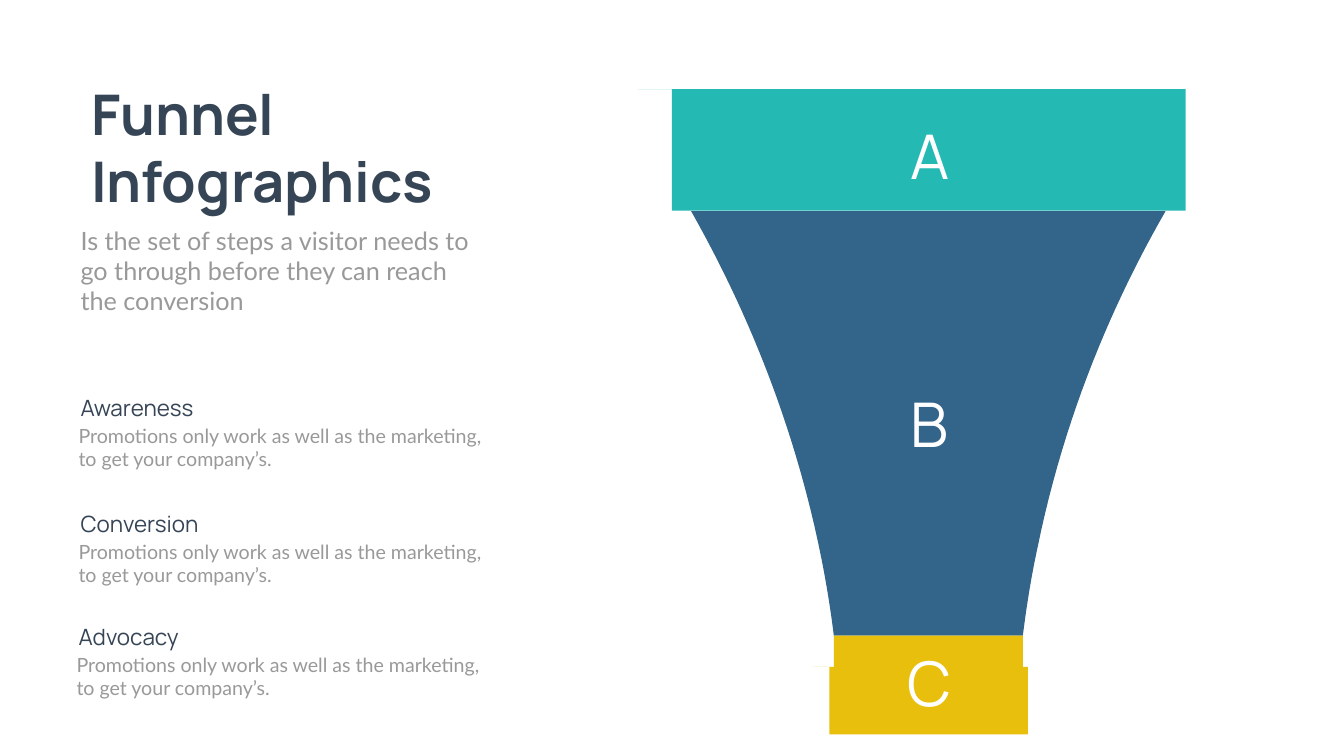
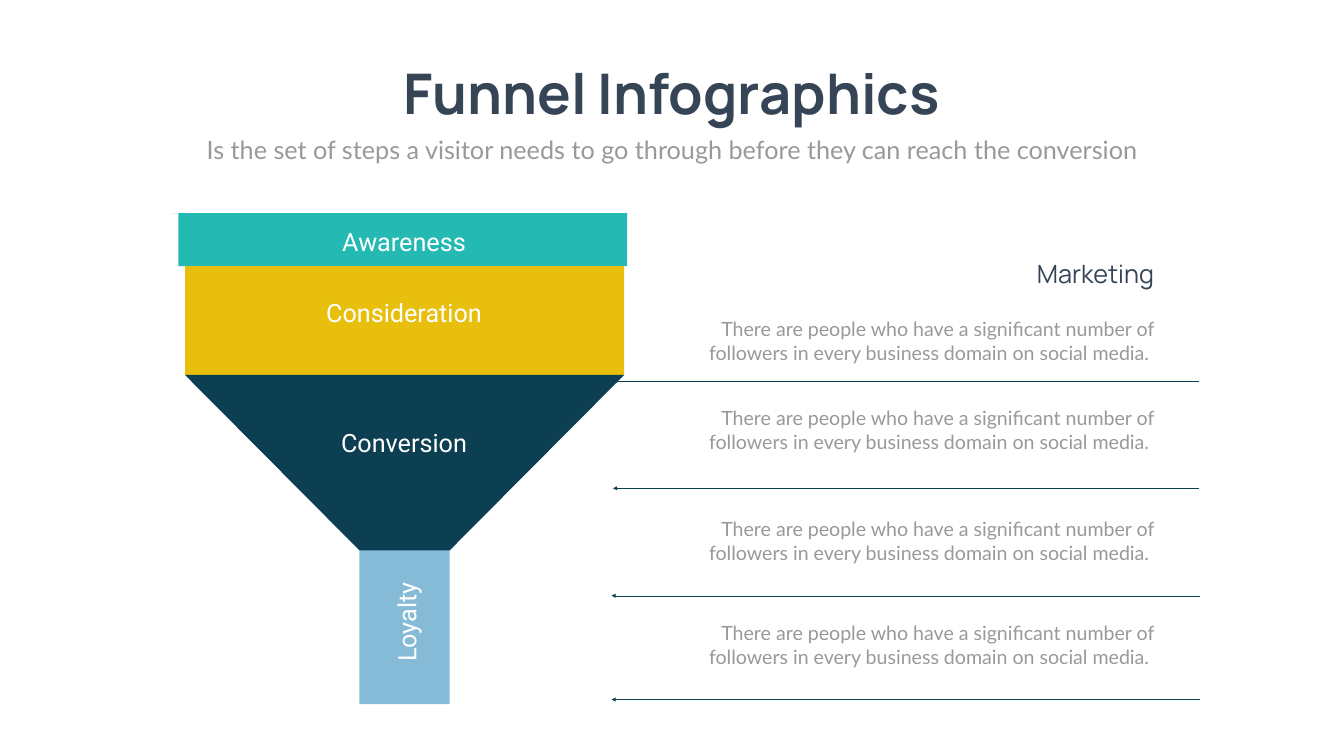
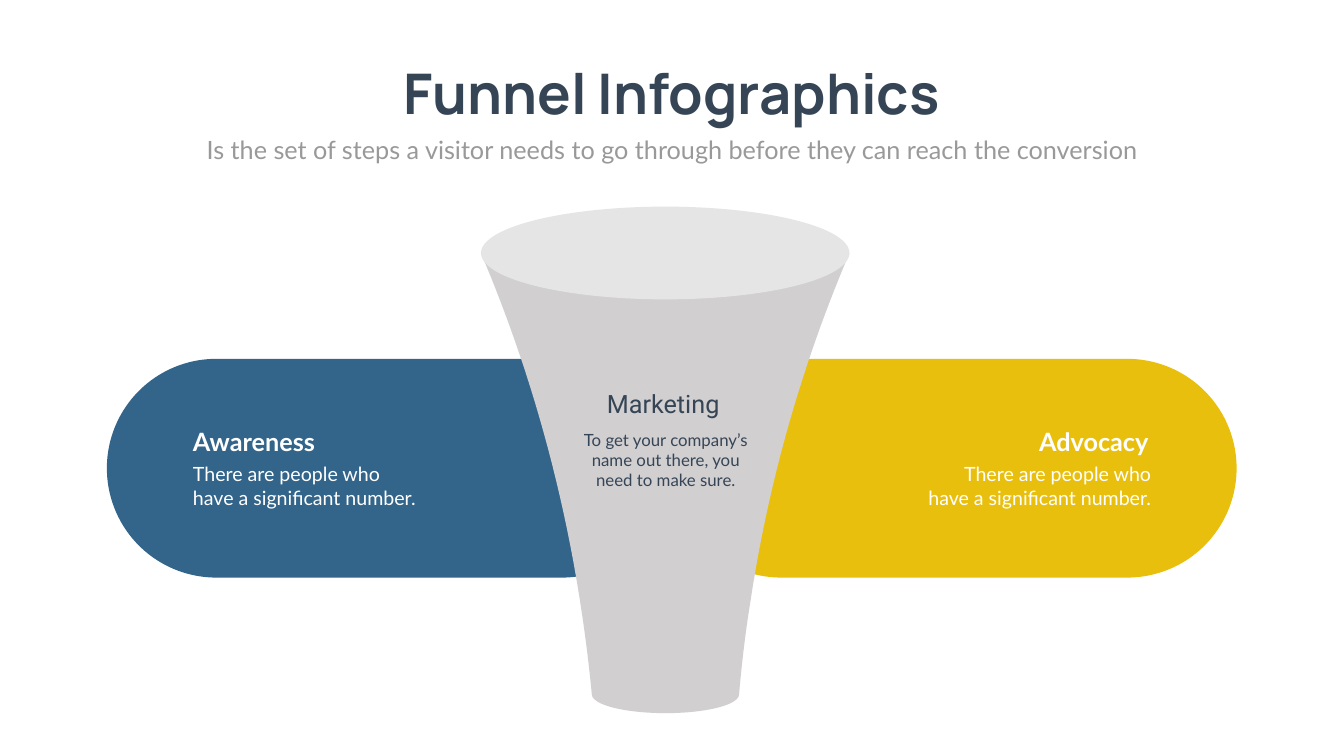
from lxml.etree import SubElement as Sub
from pptx import Presentation
from pptx.dml.color import RGBColor as Rgb
from pptx.enum.shapes import MSO_CONNECTOR as Link, MSO_SHAPE as Kind
from pptx.enum.text import MSO_AUTO_SIZE as Auto, PP_ALIGN as Align
from pptx.oxml.ns import qn
from pptx.util import Pt

PX = 9144
INK, GREY, WHITE = "364556", "999999", "FFFFFF"
TEAL, BLUE, GOLD, NAVY, SKY = "25B9B4", "33658A", "E9BF0E", "0D3F53", "85BBD7"
STONE, PALE = "D1CFD0", "E5E5E5"
LEFT, MID, RIGHT = Align.LEFT, Align.CENTER, Align.RIGHT

TITLE = "Funnel Infographics"
LEAD = "Is the set of steps a visitor needs to go through before they can reach the conversion"
PROMO = "Promotions only work as well as the marketing, to get your company’s."
REACH = "There are people who have a significant number of followers in every business domain on social media. "
CROWD = "There are people who have a significant number."

STYLES = {
    "title": ({"name": "Manrope", "size": Pt(80), "bold": True}, INK),
    "lead": ({"name": "Lato", "size": Pt(36)}, GREY),
    "body": ({"name": "Lato", "size": Pt(28)}, GREY),
    "item": ({"name": "Manrope", "size": Pt(32)}, INK),
    "topic": ({"name": "Manrope", "size": Pt(36)}, INK),
    "letter": ({"name": "Manrope", "size": Pt(88)}, WHITE),
    "stage": ({"name": "Roboto", "size": Pt(36)}, WHITE),
    "core": ({"name": "Roboto", "size": Pt(36)}, INK),
    "note": ({"name": "Lato", "size": Pt(24)}, INK),
    "side": ({"name": "Lato", "size": Pt(36), "bold": True}, WHITE),
    "claim": ({"name": "Lato", "size": Pt(28)}, WHITE),
}


def emu(*sizes):
    return [round(size * PX) for size in sizes]


def tint(fill, color):
    fill.solid()
    fill.fore_color.rgb = Rgb.from_string(color)


def bend(start, curve, steps=24):
    nodes = [start, curve[:2], curve[2:4], curve[4:]]
    for step in range(1, steps + 1):
        t = step / steps
        parts = ((1 - t) ** 3, 3 * t * (1 - t) ** 2, 3 * t * t * (1 - t), t ** 3)
        yield tuple(sum(p * n[axis] for p, n in zip(parts, nodes)) for axis in (0, 1))


class Deck:
    """Holds the deck, its text styles and the current slide."""

    def __init__(self, width, height):
        self.file = Presentation()
        self.file.slide_width, self.file.slide_height = emu(width, height)

    def page(self):
        self.shapes = self.file.slides.add_slide(self.file.slide_layouts[6]).shapes

    def text(self, words, style, x, y, w, h, align=LEFT, wrap=True, turn=0):
        box = self.shapes.add_textbox(*emu(x, y, w, h))
        box.rotation = turn
        frame = box.text_frame
        frame.word_wrap = wrap
        frame.auto_size = Auto.SHAPE_TO_FIT_TEXT
        frame.text = words
        values, color = STYLES[style]
        for para in frame.paragraphs:
            para.alignment = align
            for run in para.runs:
                for key, value in values.items():
                    setattr(run.font, key, value)
                tint(run.font.fill, color)

    def paint(self, shape, color):
        shape.shadow.inherit = False
        tint(shape.fill, color)
        shape.line.fill.background()
        return shape

    def block(self, color, x, y, w, h, kind=Kind.RECTANGLE):
        return self.paint(self.shapes.add_shape(kind, *emu(x, y, w, h)), color)

    def pill(self, color, x, y, w, h):
        self.block(color, x, y, w, h, Kind.ROUNDED_RECTANGLE).adjustments[0] = 0.5

    def outline(self, color, *path):
        points = [path[0]]
        for part in path[1:]:
            points += bend(points[-1], part) if len(part) == 6 else [part]
        spots = [emu(*point) for point in points]
        form = self.shapes.build_freeform(*spots[0], scale=1.0)
        form.add_line_segments(spots[1:], close=True)
        self.paint(form.convert_to_shape(), color)

    def ledge(self, color, tip, left, top, right, base):
        self.outline(color, (right, top), (right, base), (left, base), (left, top), (tip, top))

    def arrow(self, start, end, y):
        line = self.shapes.add_connector(Link.STRAIGHT, *emu(start, y, end, y))
        line.line.width = Pt(0.5)
        tint(line.line.fill, NAVY)
        Sub(line.line._get_or_add_ln(), qn("a:tailEnd"), type="triangle")
        Sub(line._element.spPr, qn("a:effectLst"))

    def head(self):
        self.text(TITLE, "title", 747, 112, 1171, 145, MID, wrap=False)
        self.text(LEAD, "lead", 292, 261, 2082, 71, MID)


def steps(deck):
    deck.page()
    for name, x, y in (("Awareness", 150, 777), ("Conversion", 150, 1007), ("Advocacy", 146, 1231)):
        deck.text(name, "item", x, y, 631, 64)
        deck.text(PROMO, "body", x - 4, y + 59, 823, 104)
    deck.text(TITLE.replace(" ", "\n"), "title", 171, 153, 758, 279, wrap=False)
    deck.text(LEAD, "lead", 150, 442, 792, 192)
    deck.ledge(TEAL, 1266, 1333, 177, 2352, 418)
    deck.outline(
        BLUE, (2029, 1261), (1654, 1261), (1648, 1212, 1640, 1162, 1630, 1111),
        (1575, 834, 1475, 603, 1371, 419), (2312, 419),
        (2212, 593, 2113, 817, 2058, 1087), (2045, 1147, 2036, 1205, 2029, 1261))
    deck.block(GOLD, 1654, 1261, 375, 128)
    deck.ledge(GOLD, 1613, 1645, 1323, 2039, 1457)
    for letter, y in zip("ABC", (230, 760, 1274)):
        deck.text(letter, "letter", 1749, y, 190, 158, MID)


def stages(deck):
    deck.page()
    for y in (624, 801, 1021, 1228):
        deck.text(REACH, "body", 1296, y, 1003, 104, RIGHT)
    for start, end, y in ((2379, 1216, 756), (2379, 1216, 969), (2381, 1213, 1182), (2381, 1213, 1388)):
        deck.arrow(start, end, y)
    deck.text("Marketing", "topic", 1764, 507, 535, 71, RIGHT)
    deck.block(SKY, 713, 936, 179, 461)
    deck.ledge(TEAL, 340, 354, 423, 1244, 528)
    deck.block(GOLD, 367, 528, 871, 216)
    deck.outline(NAVY, (892, 1092), (713, 1092), (367, 744), (1238, 744))
    deck.head()
    for name, y in (("Awareness", 444), ("Consideration", 585), ("Conversion", 843)):
        deck.text(name, "stage", 512, y, 579, 71, MID)
    deck.text("Loyalty", "stage", 698, 1199, 217, 71, MID, turn=270)


def sides(deck):
    deck.page()
    deck.pill(BLUE, 212, 712, 1120, 434)
    deck.pill(GOLD, 1333, 712, 1120, 434)
    for name, x, shift, align in (("Awareness", 373, 0, LEFT), ("Advocacy", 1826, 5, RIGHT)):
        deck.text(name, "side", x, 841, 462, 71, align)
        deck.text(CROWD, "claim", x + shift, 912, 462, 104, align)
    deck.outline(
        STONE, (1466, 1378), (1174, 1378), (1169, 1327, 1163, 1275, 1155, 1222),
        (1113, 934, 1035, 693, 954, 502), (1685, 502),
        (1608, 683, 1530, 916, 1488, 1197), (1478, 1259, 1471, 1320, 1466, 1378))
    deck.block(PALE, 954, 410, 731, 184, Kind.OVAL)
    deck.block(STONE, 1174, 1341, 292, 74, Kind.OVAL)
    deck.text("Marketing", "core", 1166, 765, 299, 71, MID)
    deck.text("To get your company’s name out there, you need to make sure.",
              "note", 1143, 848, 355, 134, MID)
    deck.head()


def main():
    deck = Deck(2666, 1500)
    for build in (steps, stages, sides):
        build(deck)
    deck.file.save("out.pptx")


if __name__ == "__main__":
    main()
